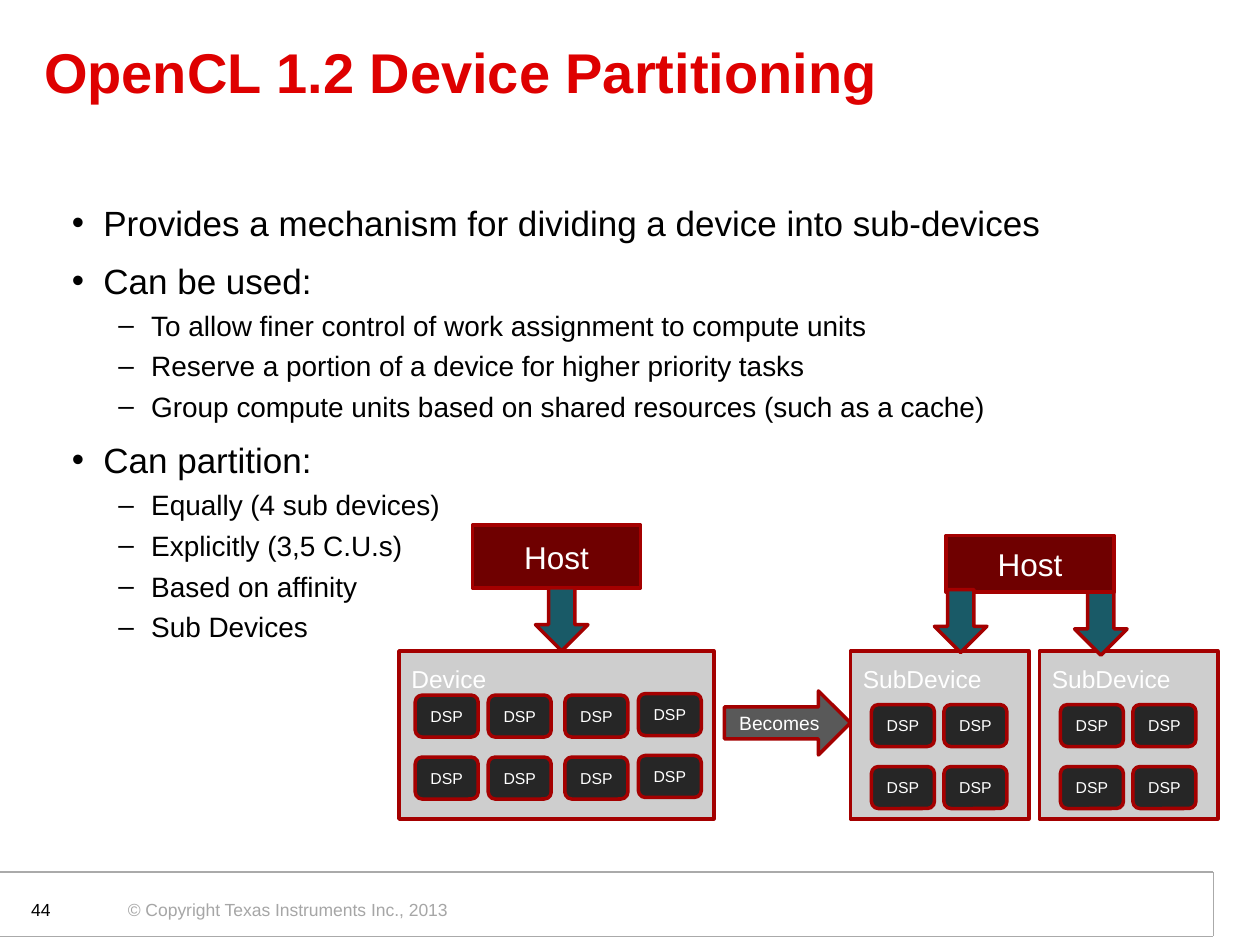
from typing import NamedTuple
from lxml.etree import SubElement
from pptx import Presentation
from pptx.dml.color import RGBColor
from pptx.enum.shapes import MSO_CONNECTOR as Conn, MSO_SHAPE as Kind
from pptx.enum.text import MSO_ANCHOR as Anchor, MSO_AUTO_SIZE as Fit, PP_ALIGN as Align
from pptx.oxml.ns import qn
from pptx.util import Inches, Pt

CELL = 1 / 12  # the grid has 12 cells to the inch
EDGE = "A40000"


class Spot(NamedTuple):
    col: float
    row: float
    wide: float
    high: float


class Look(NamedTuple):
    kind: Kind
    fill: str
    size: float = 18
    align: Align = Align.CENTER
    anchor: Anchor = Anchor.MIDDLE
    inset: float = 0.05


class Unit(NamedTuple):
    name: str
    spot: Spot
    cores: list


HOST = Look(Kind.RECTANGLE, "6F0000")
PANEL = Look(Kind.RECTANGLE, "CECECE", 14, Align.LEFT, Anchor.TOP, 0.1)
CORE = Look(Kind.ROUNDED_RECTANGLE, "262626", 9)
DOWN = Look(Kind.DOWN_ARROW, "195A67")
RIGHT = Look(Kind.RIGHT_ARROW, "595959", 11)


def color(code: str) -> RGBColor:
    return RGBColor.from_string(code)


def cells(*nums: float) -> list:
    return [Inches(num * CELL) for num in nums]


def style(para, size: float, code: str, **form) -> None:
    for key, val in {"name": "Arial", "size": Pt(size), **form}.items():
        setattr(para.font, key, val)
    para.font.color.rgb = color(code)


def shape(host, spot: Spot, look: Look, text: str = "") -> None:
    item = host.add_shape(look.kind, *cells(*spot))
    item.shadow.inherit = False
    item.fill.solid()
    item.fill.fore_color.rgb = color(look.fill)
    item.line.color.rgb = color(EDGE)
    item.line.width = Pt(2)
    if text:
        frame = item.text_frame
        form = {"text": text, "word_wrap": True, "vertical_anchor": look.anchor,
                "margin_left": Inches(look.inset), "margin_right": Inches(look.inset),
                "margin_top": Inches(look.inset)}
        for key, val in form.items():
            setattr(frame, key, val)
        para = frame.paragraphs[0]
        para.alignment = look.align
        style(para, look.size, "FFFFFF")


def unit(slide, part: Unit) -> None:
    group = slide.shapes.add_group_shape().shapes
    shape(group, part.spot, PANEL, part.name)
    for col, row in part.cores:
        spot = Spot(part.spot.col + col, part.spot.row + row, 6, 4)
        shape(group, spot, CORE, "DSP")


def rule(slide, *ends: float) -> None:
    line = slide.shapes.add_connector(Conn.STRAIGHT, *[Inches(end) for end in ends])
    line.line.color.rgb = color("AAAAAA")
    line.line.width = Pt(0.75)
    SubElement(line._element.spPr, qn("a:effectLst"))


def label(slide, spot: Spot, text: str, code: str, align: Align, wrap: bool) -> None:
    frame = slide.shapes.add_textbox(*cells(*spot)).text_frame
    frame.word_wrap = wrap
    frame.text = text
    frame.paragraphs[0].alignment = align
    style(frame.paragraphs[0], 10, code)


def place(item, spot: Spot, anchor: Anchor):
    keys = ("left", "top", "width", "height")
    for key, val in zip(keys, cells(*spot)):
        setattr(item, key, val)
    item.text_frame.auto_size = Fit.NONE
    item.text_frame.vertical_anchor = anchor
    return item.text_frame


LIST = [
    (0, "Provides a mechanism for dividing a device into sub-devices"),
    (0, "Can be used:"),
    (1, "To allow finer control of work assignment to compute units"),
    (1, "Reserve a portion of a device for higher priority tasks"),
    (1, "Group compute units based on shared resources (such as a cache)"),
    (0, "Can partition:"),
    (1, "Equally (4 sub devices)"),
    (1, "Explicitly (3,5 C.U.s)"),
    (1, "Based on affinity"),
    (1, "Sub Devices"),
]
# level: size, space before, left margin, hanging indent
LEVELS = {0: (20, 9, 0.25, -0.25), 1: (16, 4, 0.63, -0.26)}


def bullets(frame) -> None:
    for num, (level, text) in enumerate(LIST):
        para = frame.add_paragraph() if num else frame.paragraphs[0]
        size, gap, left, hang = LEVELS[level]
        para.text = text
        para.level = level
        props = para._p.get_or_add_pPr()
        props.set("marL", str(Inches(left)))
        props.set("indent", str(Inches(hang)))
        para.space_before = Pt(gap if num else 0)
        style(para, size, "000000")


def main() -> None:
    deck = Presentation()
    deck.slide_width, deck.slide_height = Inches(10), Inches(7.5)
    slide = deck.slides.add_slide(deck.slide_layouts[1])

    # Title and list
    head, body = slide.placeholders
    frame = place(head, Spot(3, 1.92, 111, 10.68), Anchor.MIDDLE)
    frame.text = "OpenCL 1.2 Device Partitioning"
    para = frame.paragraphs[0]
    para.alignment, para.line_spacing = Align.LEFT, 0.85
    style(para, 32, "DE0000", bold=True)
    bullets(place(body, Spot(5.64, 18.6, 108, 45.36), Anchor.TOP))

    # Footer
    for ends in [(0, 7.43, 9.63, 7.43), (0, 6.92, 9.63, 6.92), (9.63, 7.43, 9.63, 6.92)]:
        rule(slide, *ends)
    label(slide, Spot(11, 85, 33.4, 3.2), "© Copyright Texas Instruments Inc., 2013",
          "A6A6A6", Align.LEFT, False)
    label(slide, Spot(1, 85, 5, 2.8), "44", "000000", Align.RIGHT, True)

    # Hosts, device and sub-devices
    shape(slide.shapes, Spot(45, 50, 16, 6), HOST, "Host")
    shape(slide.shapes, Spot(90.1, 51, 16, 5.4), HOST, "Host")
    tops = [(1.55, 0), (8.5, 0), (15.8, 0), (22.8, -0.15)]
    cores = [(col, row + shift) for row in (4.2, 10.1) for col, shift in tops]
    unit(slide, Unit("Device", Spot(38, 62, 30, 16), cores))
    quad = [(col, row) for row in (5.1, 11) for col in (2, 8.9)]
    for col in (81, 99):
        unit(slide, Unit("SubDevice", Spot(col, 62, 17, 16), quad))

    # Arrows
    for col, row in [(51, 56), (89, 56.15), (102.35, 56.4)]:
        shape(slide.shapes, Spot(col, row, 5, 6), DOWN)
    shape(slide.shapes, Spot(69, 65.8, 12, 6.1), RIGHT, "Becomes")

    deck.save("out.pptx")


if __name__ == "__main__":
    main()
